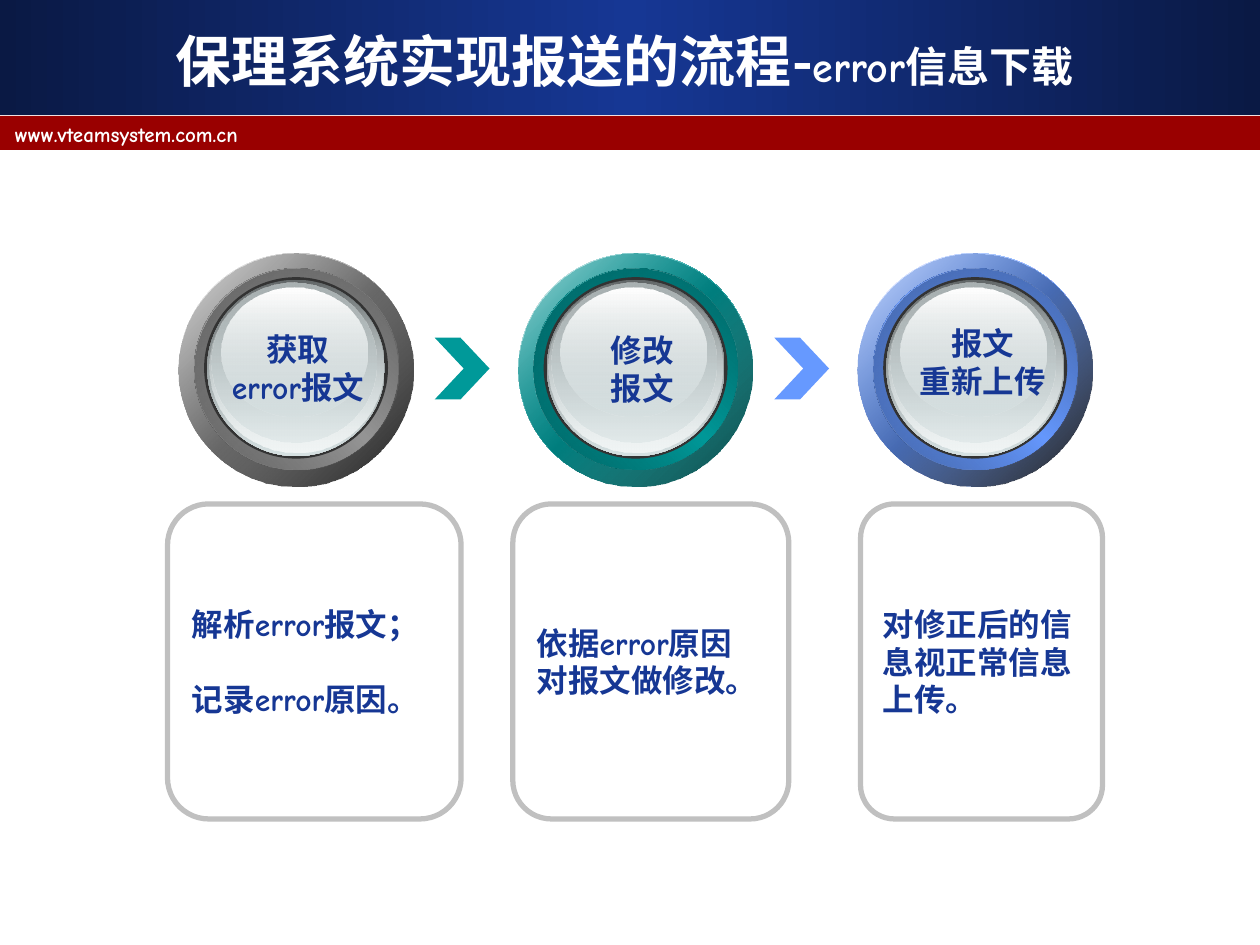
from lxml import etree
from pptx import Presentation
from pptx.dml.color import RGBColor
from pptx.enum.shapes import MSO_SHAPE
from pptx.enum.text import MSO_ANCHOR, PP_ALIGN
from pptx.oxml.ns import qn
from pptx.util import Inches, Pt

RECT, ROUNDED = MSO_SHAPE.RECTANGLE, MSO_SHAPE.ROUNDED_RECTANGLE
OVAL, CHEVRON = MSO_SHAPE.OVAL, MSO_SHAPE.CHEVRON
MIDDLE = MSO_ANCHOR.MIDDLE
LEFT, CENTER = PP_ALIGN.LEFT, PP_ALIGN.CENTER

THEME = {
    "navy": "163794", "night": "0A1944", "red": "990000", "white": "FFFFFF",
    "frame": "C0C0C0", "rim": "333333", "teal": "009999", "blue": "6699FF",
    "font": "Comic Neue", "title_font": "Noto Sans CJK SC",
    "title": 32, "subtitle": 24, "body": 18, "small": 12,
}

prs = Presentation()
prs.slide_width, prs.slide_height = Inches(10), Inches(7.5)
COL, ROW = prs.slide_width / 100, prs.slide_height / 75
slide = prs.slides.add_slide(prs.slide_layouts[6])


def add_shape(parent, kind, x, y, w, h, stops=None, angle=0):
    sp = parent.shapes.add_shape(
        kind, int(x * COL), int(y * ROW), int(w * COL), int(h * ROW))
    sp.shadow.inherit = False
    sp.line.fill.background()
    if not stops:
        sp.fill.background()
    elif len(stops) == 1:
        sp.fill.solid()
        sp.fill.fore_color.rgb = RGBColor.from_string(stops[0][1])
    else:
        sp.fill.background()
        grad = etree.Element(qn("a:gradFill"), rotWithShape="1")
        gs_list = etree.SubElement(grad, qn("a:gsLst"))
        for pos, color, alpha in stops:
            gs = etree.SubElement(gs_list, qn("a:gs"), pos=str(pos * 1000))
            clr = etree.SubElement(gs, qn("a:srgbClr"), val=color)
            if alpha < 100:
                etree.SubElement(clr, qn("a:alpha"), val=str(alpha * 1000))
        etree.SubElement(grad, qn("a:lin"), ang=str(angle * 60000), scaled="0")
        sp_pr = sp._element.spPr
        sp_pr.replace(sp_pr.find(qn("a:noFill")), grad)
    return sp


def write(sp, lines, size, color, align=LEFT, wrap=True, gap=0):
    tf = sp.text_frame
    tf.word_wrap = wrap
    tf.vertical_anchor = MIDDLE
    for i, line in enumerate(lines):
        p = tf.add_paragraph() if i else tf.paragraphs[0]
        p.alignment = align
        if i and gap:
            p.space_before = Pt(gap)
        p.font.name, p.font.size, p.font.bold = THEME["font"], Pt(size), True
        p.font.color.rgb = RGBColor.from_string(color)
        p.add_run().text = line
    return tf


add_shape(slide, RECT, 0, 0, 100, 9.1, [
    (0, THEME["night"], 100), (50, THEME["navy"], 100), (100, THEME["night"], 100)])
add_shape(slide, RECT, 0, 9.2, 100, 2.7, [(0, THEME["red"], 100)])

sp = slide.shapes.add_textbox(
    int(3.3 * COL), int(1.7 * ROW), int(92.5 * COL), int(6.2 * ROW))
tf = write(sp, ["保理系统实现报送的流程-"], THEME["title"], THEME["white"], CENTER)
p = tf.paragraphs[0]
p.runs[0].font.name = THEME["title_font"]
r = p.add_run()
r.text = "error信息下载"
r.font.size = Pt(THEME["subtitle"])

sp = slide.shapes.add_textbox(
    int(0.2 * COL), int(9.2 * ROW), int(92.5 * COL), int(2.9 * ROW))
write(sp, ["www.vteamsystem.com.cn"], THEME["small"], THEME["white"])

cards = [
    (13.3, 23.3, ["解析error报文；", "记录error原因。"], 21.5),
    (40.7, 21.9, ["依据error原因", "对报文做修改。"], 0),
    (68.3, 19.2, ["对修正后的信息视正常信息上传。"], 0),
]
for x, w, lines, gap in cards:
    sp = add_shape(slide, ROUNDED, x, 40, w, 25)
    sp.adjustments[0] = 0.14
    sp.line.color.rgb = RGBColor.from_string(THEME["frame"])
    sp.line.width = Pt(3)
    write(sp, lines, THEME["body"], THEME["navy"], gap=gap)

FIRST, PITCH, TOP = 14.2, 26.95, 20.1
for i, color in enumerate([THEME["teal"], THEME["blue"]]):
    sp = add_shape(slide, CHEVRON, 34.5 + i * PITCH, 26.8, 4.35, 4.9,
                   [(0, color, 100)])
    sp.adjustments[0] = 0.53

glass = [
    (2, 1.9, 14.6, 14.4, [(0, THEME["rim"], 100)]),
    (2.25, 2.1, 14.1, 14, [(0, "636869", 100), (100, "D6E1E2", 100)]),
    (2.4, 2.2, 13.8, 13.6, [(0, "D6E1E2", 0), (100, "F1F5F5", 100)]),
    (2.6, 2.3, 13.1, 12.7, [(0, "AAB2B3", 100), (100, "D6E1E2", 48)]),
    (3.35, 2.7, 11.6, 10.3, [(0, "FFFFFF", 100), (100, "D6E1E2", 38)]),
]
buttons = [
    ("969696", "000000", 90, "515151", "5F5F5F", ["获取", "error报文"], 9.45, 5.6),
    (THEME["teal"], "004747", 100, "005353", "006161", ["修改", "报文"], 9.8, 5.7),
    (THEME["blue"], "000000", 90, "37538A", "4161A2", ["报文", "重新上传"], 9.9, 5.1),
]
for i, (main, shade, alpha, edge, dark, lines, mid, drop) in enumerate(buttons):
    x = FIRST + i * PITCH
    grp = slide.shapes.add_group_shape()
    rings = [
        (0, 18.6, 18.5, [(0, "FFFFFF", 100), (50, main, 100), (100, "FFFFFF", 100)], 45),
        (0, 18.6, 18.5, [(0, main, 32), (100, shade, alpha)], 45),
        (1.2, 16.2, 16, [(0, edge, 100), (50, main, 100), (100, edge, 100)], 315),
        (1.2, 16.2, 16, [(0, dark, 100), (100, main, 0)], 45),
    ]
    for inset, w, h, stops, angle in rings:
        add_shape(grp, OVAL, x + inset, TOP + inset, w, h, stops, angle)
    for dx, dy, w, h, stops in glass:
        add_shape(grp, OVAL, x + dx, TOP + dy, w, h, stops, 90)
    sp = grp.shapes.add_textbox(
        int((x + mid - 6.55) * COL), int((TOP + drop) * ROW),
        int(13.1 * COL), int(7 * ROW))
    write(sp, lines, THEME["body"], THEME["navy"], CENTER, wrap=False)

prs.save("out.pptx")
